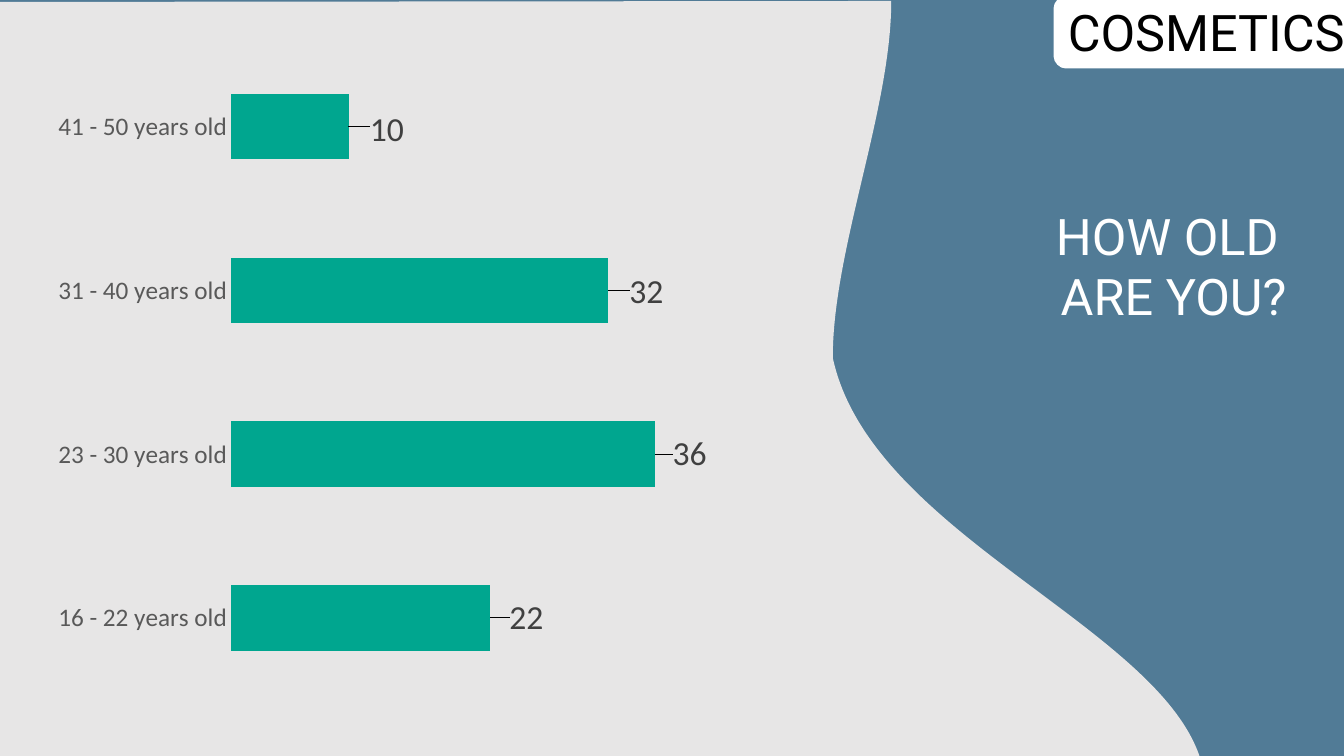
from dataclasses import dataclass
from typing import Any

from lxml import etree
from pptx import Presentation
from pptx.chart import data as cd
from pptx.dml.color import RGBColor
from pptx.enum import chart as ch, text
from pptx.oxml import ns
from pptx.util import Inches, Pt

BLUE = RGBColor(0x51, 0x7B, 0x96)
GREY = RGBColor(0xE7, 0xE6, 0xE6)
WHITE = RGBColor(0xFF, 0xFF, 0xFF)
BLACK = RGBColor(0x00, 0x00, 0x00)
TEAL = RGBColor(0x00, 0xA6, 0x8F)
AXIS_TEXT = RGBColor(0x59, 0x59, 0x59)
LABEL_TEXT = RGBColor(0x40, 0x40, 0x40)

C15 = "http://schemas.microsoft.com/office/drawing/2012/chart"
LABEL_EXT = "{CE6537A1-D6FC-4f65-9D91-7224C49458BB}"
CHART_LEFT, CHART_TOP, CHART_WIDTH, CHART_HEIGHT = 0.45, 0.31, 6.66, 6.77

Point = tuple[float, float]


@dataclass(frozen=True)
class Outline:
    start: Point
    segments: tuple[tuple[Point, ...], ...]
    color: RGBColor


@dataclass(frozen=True)
class AgeGroup:
    name: str
    answers: int
    label_shift: Point


PANEL = Outline(
    (0, 0.02),
    (
        ((8.84, 0.01),),
        ((8.84, 1.09), (8.26, 2.47), (8.26, 3.55)),
        ((8.63, 5.28), (11.46, 6.2), (11.9, 7.51)),
        ((0, 7.5),),
    ),
    GREY,
)
TAG = Outline(
    (10.45, 0.08),
    (
        ((10.45, 0.02), (10.51, -0.04), (10.57, -0.04)),
        ((13.44, -0.05),),
        ((13.48, -0.05), (13.44, 0.02), (13.44, 0.08)),
        ((13.44, 0.56),),
        ((13.44, 0.62), (13.48, 0.68), (13.45, 0.68)),
        ((10.57, 0.68),),
        ((10.51, 0.68), (10.45, 0.62), (10.45, 0.56)),
    ),
    WHITE,
)
AGE_GROUPS = (
    AgeGroup("16 - 22 years old", 22, (0.15, 0)),
    AgeGroup("23 - 30 years old", 36, (0.13, 0)),
    AgeGroup("31 - 40 years old", 32, (0.17, 0.02)),
    AgeGroup("41 - 50 years old", 10, (0.17, 0.04)),
)


def set_all(target: Any, values: dict[str, Any]) -> None:
    for name, value in values.items():
        setattr(target, name, value)


def style_font(font: Any, name: str, size: int, color: RGBColor) -> None:
    set_all(font, {"name": name, "size": Pt(size), "bold": False})
    font.color.rgb = color


def draw_outline(s: Any, outline: Outline) -> Any:
    fb = s.shapes.build_freeform(*(Inches(v) for v in outline.start))
    points = [(Inches(x), Inches(y)) for seg in outline.segments for x, y in seg]
    fb.add_line_segments(points, close=True)
    sp = fb.convert_to_shape()
    lines = iter(list(sp.element.iter(ns.qn("a:lnTo"))))
    for segment in outline.segments:
        steps = [next(lines) for _ in segment]
        if len(steps) == 3:
            curve = etree.Element(ns.qn("a:cubicBezTo"))
            steps[0].addprevious(curve)
            for step in steps:
                curve.append(step[0])
                step.getparent().remove(step)
    sp.shadow.inherit = False
    sp.fill.solid()
    sp.fill.fore_color.rgb = outline.color
    sp.line.fill.background()
    return sp


def write_lines(sp: Any, lines: tuple[str, ...], color: RGBColor) -> None:
    tf = sp.text_frame
    set_all(tf, {
        "word_wrap": True,
        "auto_size": text.MSO_AUTO_SIZE.NONE,
        "vertical_anchor": text.MSO_ANCHOR.MIDDLE,
    })
    for i, line in enumerate(lines):
        p = tf.paragraphs[0] if i == 0 else tf.add_paragraph()
        p.alignment = text.PP_ALIGN.CENTER
        r = p.add_run()
        r.text = line
        style_font(r.font, "Roboto", 36, color)


def manual_layout(values: dict[str, Any]) -> Any:
    layout = etree.Element(ns.qn("c:layout"))
    manual = etree.SubElement(layout, ns.qn("c:manualLayout"))
    for name, value in values.items():
        etree.SubElement(manual, ns.qn(f"c:{name}")).set("val", str(value))
    return layout


def hide_leader_lines(labels: Any) -> None:
    for old in labels.findall(ns.qn("c:showLeaderLines")):
        labels.remove(old)
    exts = etree.SubElement(labels, ns.qn("c:extLst"))
    ext = etree.SubElement(exts, ns.qn("c:ext"), nsmap={"c15": C15})
    ext.set("uri", LABEL_EXT)
    etree.SubElement(ext, f"{{{C15}}}showLeaderLines").set("val", "0")


def add_age_chart(s: Any) -> None:
    data = cd.CategoryChartData()
    data.categories = [g.name for g in AGE_GROUPS]
    data.add_series("Series 1", [g.answers for g in AGE_GROUPS])
    box = (Inches(v) for v in (CHART_LEFT, CHART_TOP, CHART_WIDTH, CHART_HEIGHT))
    chart = s.shapes.add_chart(ch.XL_CHART_TYPE.BAR_CLUSTERED, *box, data).chart
    set_all(chart, {"has_legend": False, "has_title": False})
    style_font(chart.font, "Calibri", 10, BLACK)

    set_all(chart.value_axis, {
        "visible": False,
        "has_major_gridlines": False,
        "minimum_scale": 0,
        "maximum_scale": 40,
    })
    axis = chart.category_axis
    set_all(axis, {
        "major_tick_mark": ch.XL_TICK_MARK.NONE,
        "minor_tick_mark": ch.XL_TICK_MARK.NONE,
        "has_major_gridlines": False,
    })
    axis.format.line.fill.background()
    style_font(axis.tick_labels.font, "Calibri", 18, AXIS_TEXT)

    plot = chart.plots[0]
    set_all(plot, {"gap_width": 150, "vary_by_categories": False})
    series = plot.series[0]
    series.format.fill.solid()
    series.format.fill.fore_color.rgb = TEAL
    outside = ch.XL_LABEL_POSITION.OUTSIDE_END
    set_all(series.data_labels, {"show_value": True, "position": outside})
    style_font(series.data_labels.font, "Calibri", 24, LABEL_TEXT)
    for i in range(len(AGE_GROUPS)):
        label = series.points[i].data_label
        label.position = outside
        style_font(label.font, "Calibri", 24, LABEL_TEXT)
    for node, group in zip(chart.element.iter(ns.qn("c:dLbl")), AGE_GROUPS):
        x, y = group.label_shift
        node.insert(1, manual_layout({"x": x / CHART_WIDTH, "y": y / CHART_HEIGHT}))
    hide_leader_lines(chart.element.find(".//" + ns.qn("c:dLbls")))

    area = chart.element.find(".//" + ns.qn("c:plotArea"))
    for old in area.findall(ns.qn("c:layout")):
        area.remove(old)
    area.insert(0, manual_layout({
        "layoutTarget": "inner", "xMode": "edge", "yMode": "edge",
        "x": 1.84 / CHART_WIDTH, "y": 0.02, "w": 4.68 / CHART_WIDTH, "h": 0.96,
    }))


def main() -> None:
    prs = Presentation()
    set_all(prs, {"slide_width": Inches(13.33), "slide_height": Inches(7.5)})
    s = prs.slides.add_slide(prs.slide_layouts[5])
    s.background.fill.solid()
    s.background.fill.fore_color.rgb = BLUE

    draw_outline(s, PANEL)
    write_lines(draw_outline(s, TAG), ("COSMETICS",), BLACK)

    title = s.shapes.title
    set_all(title, {
        "left": Inches(9.94), "top": Inches(1.51),
        "width": Inches(3.4), "height": Inches(2.24),
    })
    title.fill.solid()
    title.fill.fore_color.rgb = BLUE
    write_lines(title, ("HOW OLD ", "ARE YOU?"), WHITE)

    add_age_chart(s)
    prs.save("out.pptx")


if __name__ == "__main__":
    main()
